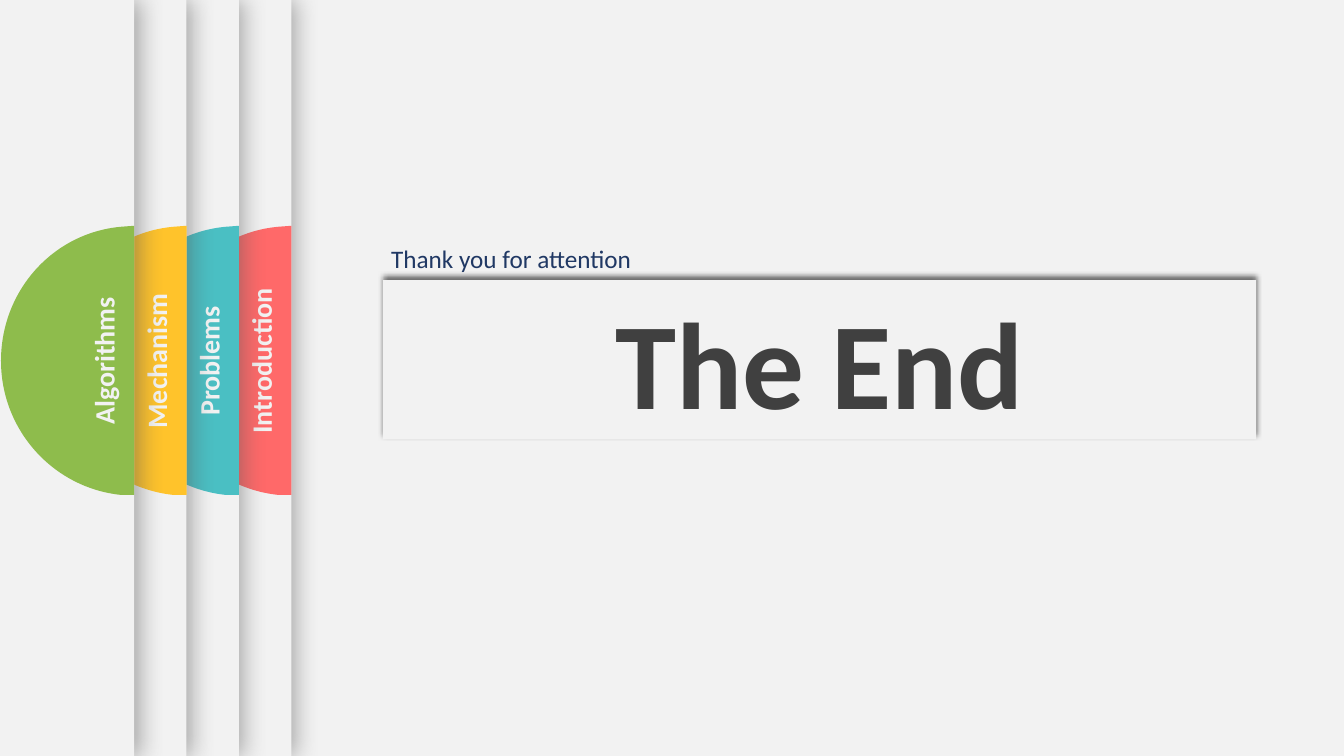
from lxml.etree import SubElement
from pptx import Presentation
from pptx.dml.color import RGBColor
from pptx.enum.shapes import MSO_SHAPE
from pptx.enum.text import MSO_ANCHOR, MSO_AUTO_SIZE, PP_ALIGN
from pptx.oxml.ns import qn
from pptx.util import Inches, Pt

PAPER = RGBColor(0xF2, 0xF2, 0xF2)
CHARCOAL = RGBColor(0x40, 0x40, 0x40)
NAVY = RGBColor(0x20, 0x38, 0x64)
CORAL = RGBColor(0xFF, 0x69, 0x69)
TEAL = RGBColor(0x4A, 0xBF, 0xC3)
AMBER = RGBColor(0xFF, 0xC3, 0x2B)
GREEN = RGBColor(0x8E, 0xBC, 0x4C)
PANEL_SHADE = RGBColor(0x59, 0x59, 0x59)
BLACK = RGBColor(0, 0, 0)

# Content, from the back panel to the front one
CLOSING = "The End"
THANKS = "Thank you for attention"
SECTIONS = [
    ("Introduction", CORAL),
    ("Problems", TEAL),
    ("Mechanism", AMBER),
    ("Algorithms", GREEN),
]

# Layout in inches
SLIDE_W, SLIDE_H = 13.33, 7.5
FIRST_EDGE, PANEL_STEP = 2.89, 0.52
TAB_MID = 3.58
LABEL_W, LABEL_H, LABEL_INSET = 1.89, 0.44, 0.3

# Tab outline as (distance left of the edge, top): three corners, then two curves
TAB_CORNERS = [(0, 2.24), (0, 4.91), (0.13, 4.91)]
TAB_CURVES = [
    (0.8, 4.84), (1.32, 4.27), (1.32, 3.58),
    (1.32, 2.88), (0.8, 2.31), (0.13, 2.25),
]


def add_shadow(shape, color, opacity, blur, distance, degrees):
    shape.shadow.inherit = False
    effects = shape._element.spPr.find(qn("a:effectLst"))
    shadow = SubElement(
        effects, qn("a:outerShdw"), blurRad=str(Pt(blur)), dist=str(Pt(distance)),
        dir=str(degrees * 60000), algn="ctr", rotWithShape="0")
    shade = SubElement(shadow, qn("a:srgbClr"), val=str(color))
    SubElement(shade, qn("a:alpha"), val=str(opacity * 1000))


def paint(shape, color):
    shape.fill.solid()
    shape.fill.fore_color.rgb = color
    shape.line.fill.background()


def place(shape, left, top, width, height):
    shape.left, shape.top = Inches(left), Inches(top)
    shape.width, shape.height = Inches(width), Inches(height)


def write(shape, text, size, color, align, bold=False, anchor=MSO_ANCHOR.TOP):
    frame = shape.text_frame
    frame.text = text
    frame.word_wrap = True
    frame.auto_size = MSO_AUTO_SIZE.NONE
    frame.vertical_anchor = anchor
    paragraph = frame.paragraphs[0]
    paragraph.alignment = align
    paragraph.space_before = Pt(0)
    paragraph.line_spacing = 1.0
    font = paragraph.font
    font.name, font.size, font.bold = "Calibri", Pt(size), bold
    font.color.rgb = color


def add_tab(shapes, color, edge):
    points = [(Inches(edge - inset), Inches(top))
              for inset, top in TAB_CORNERS + TAB_CURVES]
    outline = shapes.build_freeform(*points[0])
    outline.add_line_segments(points[1:], close=True)
    tab = outline.convert_to_shape()
    paint(tab, color)
    tab.shadow.inherit = False

    # Turn each three points of the round side into one Bézier curve
    lines = list(tab._element.iter(qn("a:lnTo")))[-len(TAB_CURVES):]
    for first in range(0, len(lines), 3):
        trio = lines[first:first + 3]
        curve = trio[0]
        for line in trio[1:]:
            curve.append(line[0])
            line.getparent().remove(line)
        curve.tag = qn("a:cubicBezTo")


def add_section(slide, name, color, edge):
    section = slide.shapes.add_group_shape().shapes

    # Panel that slides in from the left
    panel = section.add_shape(
        MSO_SHAPE.RECTANGLE, Inches(edge - SLIDE_W), 0, Inches(SLIDE_W), Inches(SLIDE_H))
    paint(panel, PAPER)
    add_shadow(panel, PANEL_SHADE, 50, 17, 3, 0)

    # Half-round tab along the panel's right edge
    add_tab(section, color, edge)

    # Label reading upwards
    label = section.add_textbox(
        Inches(edge - LABEL_INSET - LABEL_W / 2), Inches(TAB_MID - LABEL_H / 2),
        Inches(LABEL_W), Inches(LABEL_H))
    label.rotation = 270
    write(label, name, 20, PAPER, PP_ALIGN.CENTER, bold=True)


def main():
    deck = Presentation()
    deck.slide_width, deck.slide_height = Inches(SLIDE_W), Inches(SLIDE_H)
    slide = deck.slides.add_slide(deck.slide_layouts[0])
    slide.background.fill.solid()
    slide.background.fill.fore_color.rgb = PAPER

    # Stacked section panels
    for index, (name, color) in enumerate(SECTIONS):
        add_section(slide, name, color, FIRST_EDGE - index * PANEL_STEP)

    # Closing title and thanks
    closing, thanks = slide.shapes.title, slide.placeholders[1]
    place(closing, 3.8, 2.78, 8.66, 1.58)
    paint(closing, PAPER)
    add_shadow(closing, BLACK, 60, 4, 3, 270)
    write(closing, CLOSING, 88, CHARCOAL, PP_ALIGN.CENTER, True, MSO_ANCHOR.MIDDLE)
    place(thanks, 1.85, 2.36, 4.51, 0.4)
    write(thanks, THANKS, 18, NAVY, PP_ALIGN.RIGHT)

    # Title and thanks lie in front of the panels
    for text in (closing, thanks):
        slide.shapes._spTree.append(text._element)

    deck.save("out.pptx")


if __name__ == "__main__":
    main()
